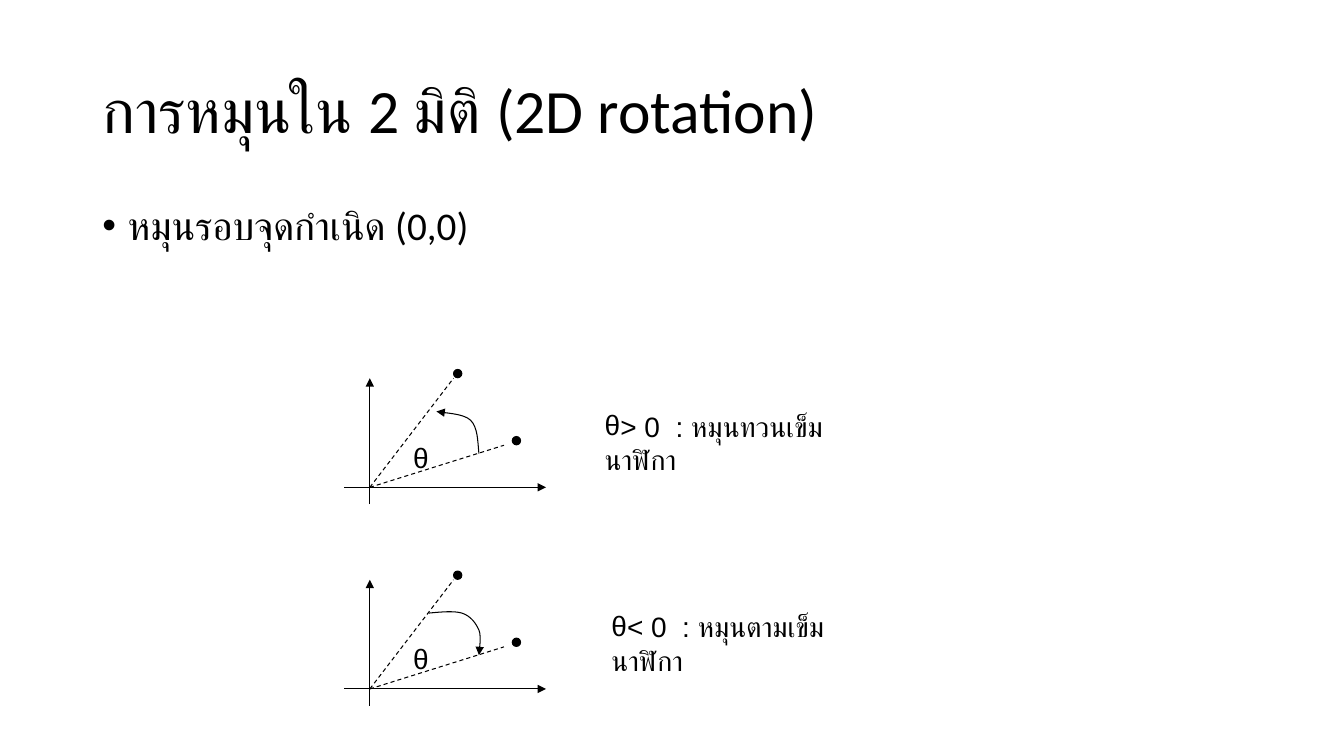
"""Build a slide showing 2D rotation about the origin in both directions."""
from lxml import etree
from pptx import Presentation
from pptx.dml.color import RGBColor
from pptx.enum.dml import MSO_LINE
from pptx.enum.shapes import MSO_CONNECTOR, MSO_SHAPE
from pptx.enum.text import MSO_ANCHOR
from pptx.oxml.ns import qn
from pptx.util import Cm, Pt

STRAIGHT = MSO_CONNECTOR.STRAIGHT
OVAL = MSO_SHAPE.OVAL
DASH = MSO_LINE.DASH
MIDDLE = MSO_ANCHOR.MIDDLE
BLACK = RGBColor.from_string("000000")
STEPS = 8


def add_text(box, runs, size, bullet=None, indent=0, spacing=None, wrap=True):
    """Add a text box of (text, font) runs, with an optional bullet."""
    tb = s.shapes.add_textbox(*[Cm(v) for v in box])
    tf = tb.text_frame
    tf.word_wrap = wrap
    p = tf.paragraphs[0]
    if bullet:
        pPr = p._p.get_or_add_pPr()
        pPr.set("marL", str(Cm(indent)))
        pPr.set("indent", str(-Cm(indent)))
        etree.SubElement(pPr, qn("a:buFont")).set("typeface", "Arial")
        etree.SubElement(pPr, qn("a:buChar")).set("char", bullet)
    if spacing:
        p.line_spacing = spacing
    for text, font in runs:
        r = p.add_run()
        r.text = text
        r.font.name = font
        r.font.size = Pt(size)
        r.font.color.rgb = BLACK
    return tf


def style_line(shape, arrow=False, dash=False):
    """Draw a thin black line, optionally dashed or with an end arrow."""
    shape.line.color.rgb = BLACK
    shape.line.width = Pt(0.75)
    if dash:
        shape.line.dash_style = DASH
    if arrow:
        ln = shape.line._get_or_add_ln()
        etree.SubElement(ln, qn("a:tailEnd")).set("type", "triangle")


prs = Presentation()
prs.slide_width = Cm(33.87)
prs.slide_height = Cm(19.05)
s = prs.slides.add_slide(prs.slide_layouts[6])

title = add_text((2.33, 1.01, 29.21, 3.68),
                 [("การหมุนใน 2 มิติ (2D rotation)", "Calibri")], 44, spacing=0.9)
title.vertical_anchor = MIDDLE
add_text((2.33, 5.07, 29.21, 12.09),
         [("หมุนรอบจุดกำเนิด (0,0)", "Calibri")], 28, "•", 0.64, 0.9)

ORIGIN = (9.32, 12.28)
LINES = [
    ((9.32, 12.7), (9.32, 9.53), True),
    ((8.68, 12.28), (13.76, 12.28), True),
    (ORIGIN, (12.7, 11.22), False),
    (ORIGIN, (11.43, 9.53), False),
]
DOTS = [(12.91, 11.0), (11.43, 9.31)]
COUNTERCLOCKWISE = [
    (12.07, 11.43), (12.04, 11.1), (12.04, 10.77), (11.86, 10.59),
    (11.68, 10.41), (11.15, 10.41), (11.0, 10.37),
]
CLOCKWISE = [
    (10.8, 10.37), (11.13, 10.34), (11.43, 10.31), (11.64, 10.37),
    (11.86, 10.44), (11.99, 10.62), (12.07, 10.8),
    (12.14, 10.97), (12.07, 11.33), (12.07, 11.43),
]
ROTATIONS = [
    (0, COUNTERCLOCKWISE, (14.99, 10.19, 6.68, 1.11), "> 0  : ", "หมุนทวนเข็มนาฬิกา"),
    (5.08, CLOCKWISE, (15.16, 15.24, 6.45, 1.11), "< 0  : ", "หมุนตามเข็มนาฬิกา"),
]

for dy, curve, label_box, sign, direction in ROTATIONS:
    for (x1, y1), (x2, y2), is_axis in LINES:
        line = s.shapes.add_connector(STRAIGHT, Cm(x1), Cm(y1 + dy), Cm(x2), Cm(y2 + dy))
        style_line(line, arrow=is_axis, dash=not is_axis)
        etree.SubElement(line._element.spPr, qn("a:effectLst"))

    for x, y in DOTS:
        dot = s.shapes.add_shape(OVAL, Cm(x), Cm(y + dy), Cm(0.21), Cm(0.21))
        dot.shadow.inherit = False
        dot.fill.solid()
        dot.fill.fore_color.rgb = BLACK
        style_line(dot)

    add_text((10.16, 10.97 + dy, 0.89, 1.09), [("θ", "Arial")], 20, wrap=False)

    points = []
    for i in range(0, len(curve) - 1, 3):
        a, b, c, d = curve[i:i + 4]
        for k in range(1, STEPS + 1):
            t = k / STEPS
            u = 1 - t
            x, y = [u**3 * a[j] + 3 * u * u * t * b[j] + 3 * u * t * t * c[j] + t**3 * d[j]
                    for j in (0, 1)]
            points.append((Cm(x), Cm(y + dy)))
    builder = s.shapes.build_freeform(Cm(curve[0][0]), Cm(curve[0][1] + dy))
    builder.add_line_segments(points, close=False)
    arc = builder.convert_to_shape()
    arc.shadow.inherit = False
    arc.fill.background()
    style_line(arc, arrow=True)

    add_text(label_box, [(sign, "Arial"), (direction, "Calibri")], 20, "θ")

prs.save("out.pptx")
